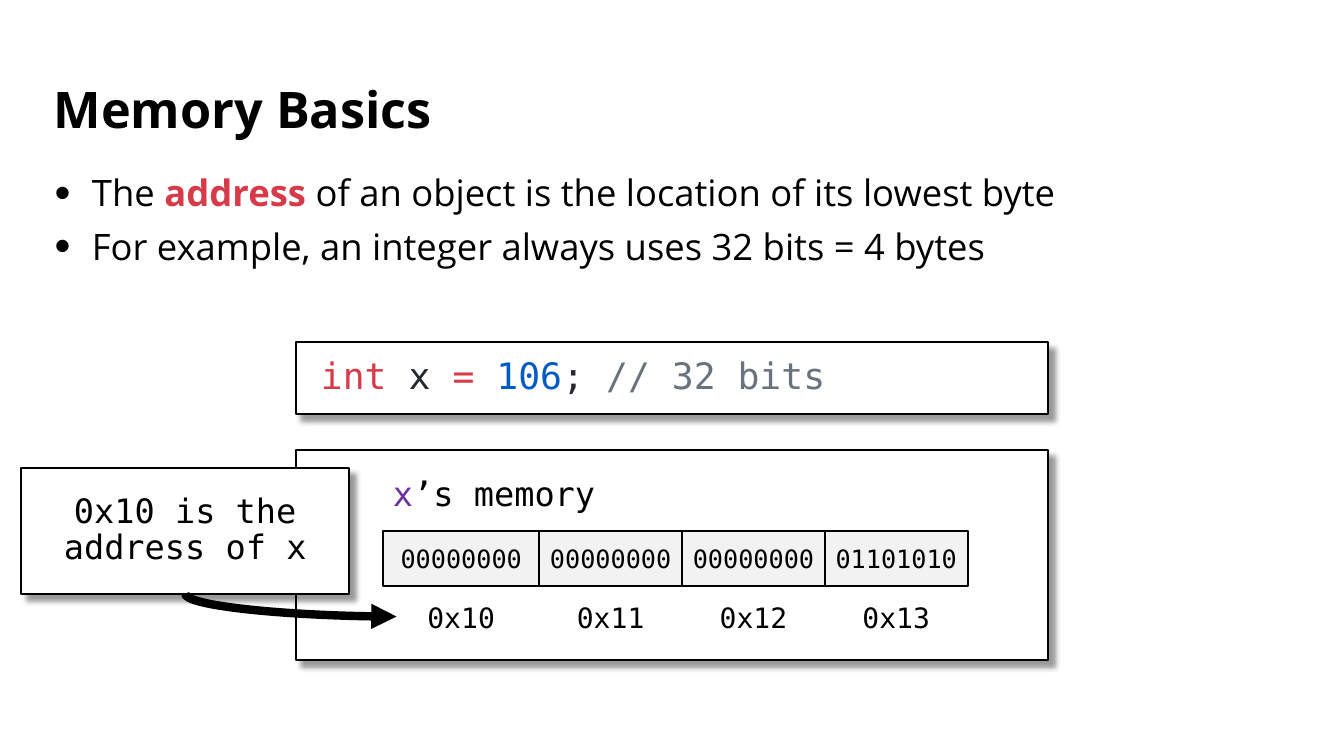
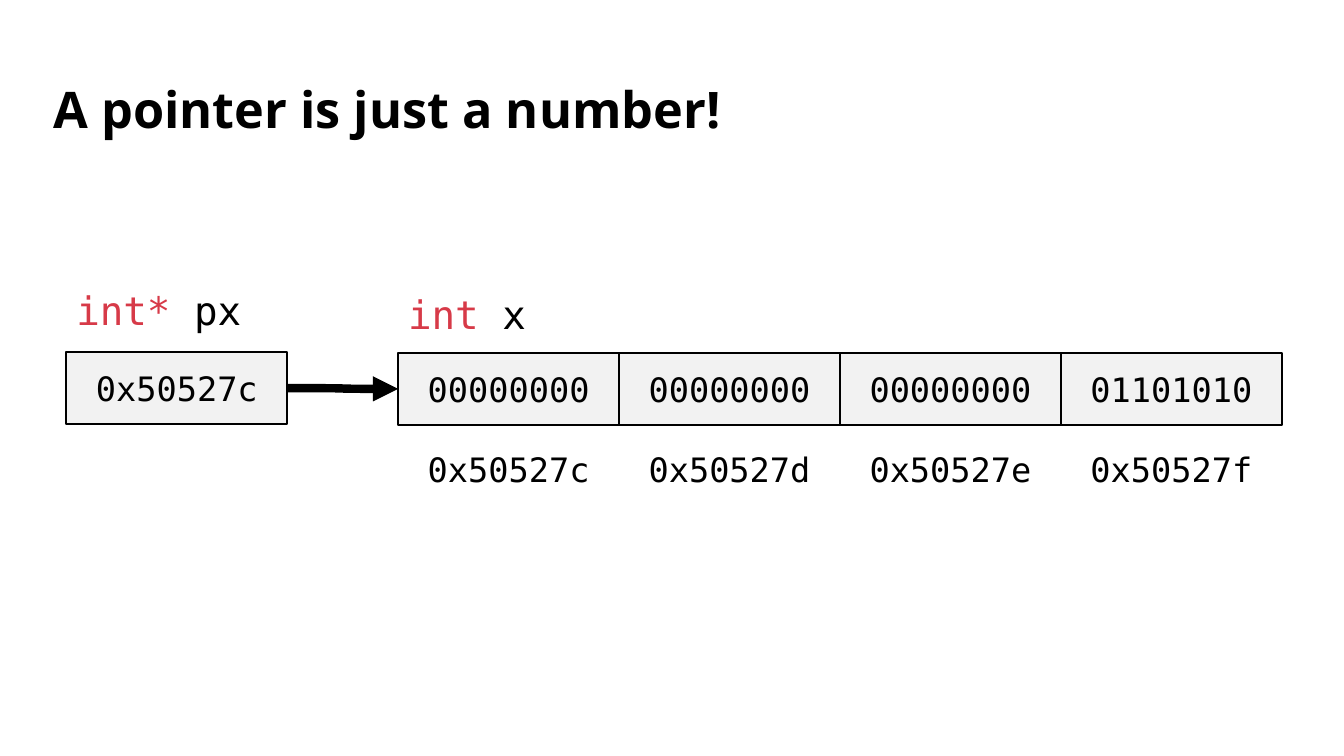
from lxml.etree import SubElement
from pptx import Presentation
from pptx.dml.color import RGBColor
from pptx.enum.shapes import MSO_CONNECTOR as Link, MSO_SHAPE as Form
from pptx.enum.text import MSO_ANCHOR as Anchor, PP_ALIGN as Align
from pptx.oxml.ns import qn
from pptx.util import Inches, Pt

BLACK = RGBColor(0x00, 0x00, 0x00)
WHITE = RGBColor(0xFF, 0xFF, 0xFF)
CELL_GREY = RGBColor(0xF2, 0xF2, 0xF2)
ACCENT_RED = RGBColor(0xD7, 0x3A, 0x48)
KEYWORD_RED = RGBColor(0xD7, 0x3A, 0x49)
CODE_DARK = RGBColor(0x24, 0x29, 0x2E)
NUMBER_BLUE = RGBColor(0x00, 0x5C, 0xC5)
COMMENT_GREY = RGBColor(0x6A, 0x73, 0x7D)
NAME_PURPLE = RGBColor(0x70, 0x30, 0xA0)

COLUMNS, ROWS = 160, 90
SANS, MONO = "Open Sans", "DejaVu Sans Mono"
BOTTOM, LEFT, RIGHT = 2, 1, 3


class Lesson:
    margin, content_width = 5.2, 149.6

    def __init__(self):
        self.deck = Presentation()
        self.deck.slide_width, self.deck.slide_height = Inches(13.333), Inches(7.5)
        self.page = None

    def place(self, left, top, width, height):
        across = self.deck.slide_width / COLUMNS
        down = self.deck.slide_height / ROWS
        return [round(left * across), round(top * down), round(width * across), round(height * down)]

    def add_spans(self, para, spans, size, font):
        for text, colour, *strong in spans:
            span = para.add_run()
            span.text = text
            span.font.name, span.font.size = font, Pt(size)
            span.font.bold = bool(strong)
            span.font.color.rgb = colour

    def text(self, area, spans, size, font=MONO, align=Align.LEFT):
        box = self.page.shapes.add_textbox(*self.place(*area))
        box.text_frame.word_wrap = True
        para = box.text_frame.paragraphs[0]
        para.alignment = align
        self.add_spans(para, spans, size, font)
        return box

    def new_page(self, title):
        self.page = self.deck.slides.add_slide(self.deck.slide_layouts[6])
        box = self.text((self.margin, 8.3, self.content_width, 10.1), [(title, BLACK, True)], 36, SANS)
        box.text_frame.vertical_anchor = Anchor.MIDDLE
        box.text_frame.paragraphs[0].line_spacing = 0.9

    def bullets(self, top, height, items):
        box = self.page.shapes.add_textbox(*self.place(self.margin, top, self.content_width, height))
        frame = box.text_frame
        frame.word_wrap = True
        for index, spans in enumerate(items):
            para = frame.add_paragraph() if index else frame.paragraphs[0]
            props = para._p.get_or_add_pPr()
            props.set("marL", str(Inches(0.38)))
            props.set("indent", str(Inches(-0.37)))
            SubElement(props, qn("a:buSzPct"), val="125000")
            SubElement(props, qn("a:buFont"), typeface="Arial")
            SubElement(props, qn("a:buChar"), char="•")
            para.line_spacing = 0.9
            if index:
                para.space_before = Pt(10)
            self.add_spans(para, spans, 26, SANS)

    def block(self, area, spans=(), size=24, fill=CELL_GREY, align=Align.CENTER):
        shape = self.page.shapes.add_shape(Form.RECTANGLE, *self.place(*area))
        shape.shadow.inherit = False
        shape.fill.solid()
        shape.fill.fore_color.rgb = fill
        shape.line.color.rgb, shape.line.width = BLACK, Pt(1.5)
        frame = shape.text_frame
        frame.word_wrap, frame.vertical_anchor = True, Anchor.MIDDLE
        para = frame.paragraphs[0]
        para.alignment = align
        self.add_spans(para, spans, size, MONO)
        return shape

    def card(self, area, spans=(), size=24, align=Align.LEFT):
        shape = self.block(area, spans, size, WHITE, align)
        frame = shape.text_frame
        frame.margin_left = frame.margin_right = Inches(0.25)
        frame.margin_top = frame.margin_bottom = Inches(0.25)
        frame.paragraphs[0].line_spacing = 0.9
        effects = shape._element.spPr.find(qn("a:effectLst"))
        shadow = SubElement(effects, qn("a:outerShdw"), blurRad=str(Pt(4)), dist=str(Pt(6)),
                            dir="2700000", algn="tl", rotWithShape="0")
        colour = SubElement(shadow, qn("a:srgbClr"), val=str(BLACK))
        SubElement(colour, qn("a:alpha"), val="40000")
        return shape

    def memory(self, left, top, height, widths, values, addresses, gap, sizes):
        cells = []
        value_size, address_size = sizes
        for width, value, address in zip(widths, values, addresses):
            cells.append(self.block((left, top, width, height), [(value, BLACK)], value_size))
            self.text((left, top + height + gap, width, 6), [(address, BLACK)], address_size,
                      align=Align.CENTER)
            left += width
        return cells

    def arrow(self, source, side, column, row):
        end_x, end_y, _, _ = self.place(column, row, 0, 0)
        line = self.page.shapes.add_connector(Link.CURVE, end_x, end_y, end_x, end_y)
        line.begin_connect(source, side)
        line.line.color.rgb, line.line.width = BLACK, Pt(6)
        props = line._element.spPr
        SubElement(props.find(qn("a:ln")), qn("a:tailEnd"), type="triangle")
        SubElement(props, qn("a:effectLst"))
        return line

    def bend_down_then_right(self, line):
        centre_x, centre_y = line.left + line.width // 2, line.top + line.height // 2
        line.width, line.height = line.height, line.width
        line.left, line.top = centre_x - line.width // 2, centre_y - line.height // 2
        props = line._element.spPr
        frame = props.find(qn("a:xfrm"))
        frame.attrib.pop("flipV", None)
        frame.set("rot", "16200000")
        frame.set("flipH", "1")
        props.find(qn("a:prstGeom")).set("prst", "curvedConnector2")


def memory_basics(lesson, values):
    lesson.new_page("Memory Basics")
    lesson.bullets(20.3, 62.8, [
        [("The ", BLACK), ("address", ACCENT_RED, True),
         (" of an object is the location of its lowest byte", BLACK)],
        [("For example, an integer always uses 32 bits = 4 bytes", BLACK)],
    ])
    lesson.card((35.2, 40.7, 89.6, 8.6), [
        ("int", KEYWORD_RED), (" x ", CODE_DARK), ("= ", KEYWORD_RED),
        ("106", NUMBER_BLUE), (";", CODE_DARK), (" // 32 bits", COMMENT_GREY),
    ], 26)
    lesson.card((35.2, 53.6, 89.6, 25))
    lesson.text((45.6, 55.7, 39.1, 6), [("x", NAME_PURPLE), ("’s memory", BLACK)], 24)
    lesson.memory(45.6, 63.2, 6.6, [18.6, 17, 17, 17], values,
                  ["0x10", "0x11", "0x12", "0x13"], 1.1, (18, 20))
    callout = lesson.card((2.5, 55.7, 39.1, 15), [("0x10 is the address of x", BLACK)],
                          align=Align.CENTER)
    lesson.bend_down_then_right(lesson.arrow(callout, BOTTOM, 47.2, 73.4))


def pointer_is_a_number(lesson, values):
    lesson.new_page("A pointer is just a number!")
    width, height = 26.3, 8.6
    addresses = ["0x50527c", "0x50527d", "0x50527e", "0x50527f"]
    lesson.text((47.4, 34, 4 * width, 6.8), [("int", ACCENT_RED), (" x", BLACK)], 28)
    cells = lesson.memory(47.4, 42, height, [width] * 4, values, addresses, 2.3, (24, 24))
    lesson.text((7.9, 33.5, width, 6.8), [("int* ", ACCENT_RED), ("px", BLACK)], 28)
    pointer = lesson.block((7.9, 41.9, width, height), [(addresses[0], BLACK)])
    lesson.arrow(pointer, RIGHT, 47.4, 46.3).end_connect(cells[0], LEFT)


def main():
    lesson = Lesson()
    values = ["00000000"] * 3 + ["01101010"]
    memory_basics(lesson, values)
    pointer_is_a_number(lesson, values)
    lesson.deck.save("out.pptx")


if __name__ == "__main__":
    main()
